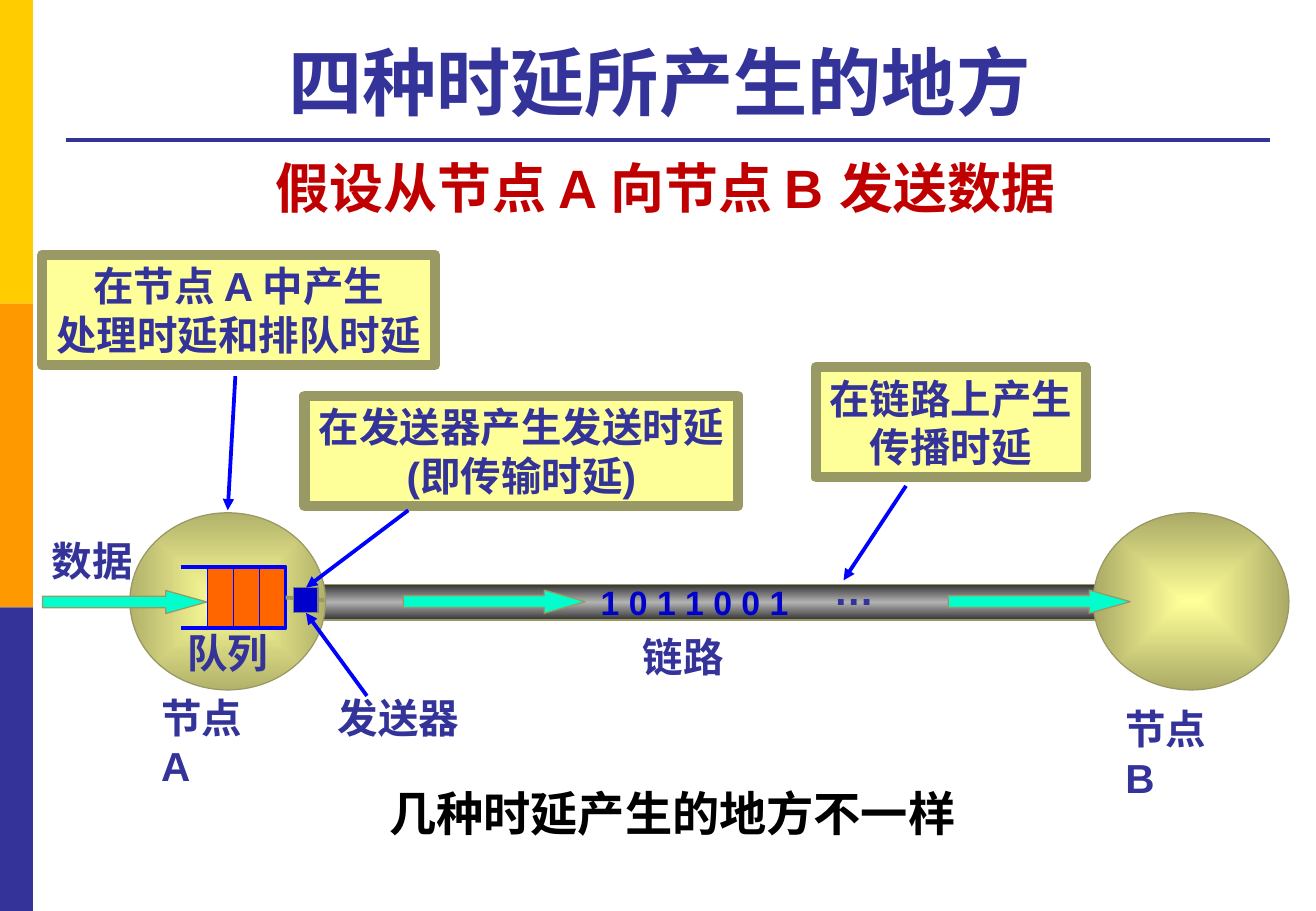
from lxml import etree
from pptx import Presentation
from pptx.dml.color import RGBColor as RGB
from pptx.enum.shapes import MSO_CONNECTOR as Conn, MSO_SHAPE as Kind
from pptx.enum.text import MSO_ANCHOR as Anchor, PP_ALIGN as Align
from pptx.oxml import parse_xml
from pptx.oxml.ns import nsdecls, qn
from pptx.util import Pt

WIDE, HIGH = 780, 540
GOLD = RGB(0xFF, 0xCC, 0x00)
AMBER = RGB(0xFF, 0x99, 0x00)
NAVY = RGB(0x33, 0x33, 0x99)
RED = RGB(0xC0, 0x00, 0x00)
BLACK = RGB(0x00, 0x00, 0x00)
BLUE = RGB(0x00, 0x00, 0xFF)
DEEP = RGB(0x00, 0x00, 0xCC)
CREAM = RGB(0xFF, 0xFF, 0x99)
OLIVE = RGB(0x99, 0x99, 0x66)
SHADE_A = RGB(0xB2, 0xB2, 0x6B)
SHADE_B = RGB(0xAA, 0xAA, 0x66)
ORANGE = RGB(0xFF, 0x66, 0x00)
MINT = RGB(0x00, 0xFF, 0xCC)
GRAY = RGB(0x80, 0x80, 0x80)
SILVER = RGB(0xB2, 0xB2, 0xB2)
DARK = RGB(0x34, 0x34, 0x34)


def pts(*nums):
    return [Pt(n) for n in nums]


def write(shape, text, size=24, color=NAVY, align=Align.CENTER,
          anchor=Anchor.TOP, wrap=False):
    """Fill a shape with bold text, one paragraph per line."""
    frame = shape.text_frame
    frame.word_wrap = wrap
    frame.vertical_anchor = anchor
    for i, line in enumerate(text.split("\n")):
        para = frame.add_paragraph() if i else frame.paragraphs[0]
        para.alignment = align
        run = para.add_run()
        run.text = line
        font = run.font
        font.name, font.size, font.bold = "Arial", Pt(size), True
        font.color.rgb = color


def label(slide, text, box, **form):
    write(slide.shapes.add_textbox(*pts(*box)), text, **form)


def shape(slide, kind, box, fill=None, edge=OLIVE, width=0.75):
    item = slide.shapes.add_shape(kind, *pts(*box))
    item.shadow.inherit = False
    if fill is not None:
        item.fill.solid()
        item.fill.fore_color.rgb = fill
    if edge is None:
        item.line.fill.background()
    else:
        item.line.color.rgb = edge
        item.line.width = Pt(width)
    return item


def blend(item, colors, way):
    """Give a shape a gradient of evenly spaced colours."""
    step = 100000 // (len(colors) - 1)
    stops = "".join(f'<a:gs pos="{i * step}"><a:srgbClr val="{c}"/></a:gs>'
                    for i, c in enumerate(colors))
    grad = parse_xml(f'<a:gradFill {nsdecls("a")} rotWithShape="1">'
                     f'<a:gsLst>{stops}</a:gsLst>{way}</a:gradFill>')
    item._element.spPr.find(qn("a:prstGeom")).addnext(grad)


def line(slide, start, end, color=BLUE, width=2.25, head=False):
    item = slide.shapes.add_connector(Conn.STRAIGHT, *pts(*start, *end))
    item.line.color.rgb = color
    item.line.width = Pt(width)
    if head:
        etree.SubElement(item.line._get_or_add_ln(), qn("a:tailEnd"),
                         type="triangle")
    etree.SubElement(item._element.spPr, qn("a:effectLst"))
    return item


def frame(slide, box):
    """Side bands, title and rule."""
    x, y, w, h = box
    for i, color in enumerate((GOLD, AMBER, NAVY)):
        shape(slide, Kind.RECTANGLE, (x, y + i * h / 3, 19.5, h / 3), color, None)
    line(slide, (x + 39, y + 83), (x + w - 27, y + 83), NAVY)
    label(slide, "四种时延所产生的地方", (x + 34, y + 15, 714, 63),
          size=44, anchor=Anchor.BOTTOM, wrap=True)


def pipe(slide, box):
    blend(shape(slide, Kind.RECTANGLE, box), (DARK, SILVER, DARK),
          '<a:lin ang="5400000" scaled="1"/>')


def node(slide, box, shade):
    blend(shape(slide, Kind.OVAL, box), (CREAM, shade),
          '<a:path path="rect"><a:fillToRect l="50000" t="50000" '
          'r="50000" b="50000"/></a:path>')


def queue(slide, box):
    """Open-ended queue with three cells; returns the cell block."""
    x, y, w, h = box
    cell = w / 4
    right, foot = x + w, y + h
    cells = shape(slide, Kind.RECTANGLE, (x + cell, y, 3 * cell, h), ORANGE, BLUE)
    build = slide.shapes.build_freeform(Pt(x), Pt(y))
    build.add_line_segments([pts(right, y), pts(right, foot), pts(x, foot)],
                            close=False)
    rim = build.convert_to_shape()
    rim.shadow.inherit = False
    rim.fill.background()
    rim.line.color.rgb = BLUE
    rim.line.width = Pt(2.25)
    for i in (1, 2, 3):
        at = x + i * cell
        line(slide, (at, y), (at, foot), width=0.75)
    return cells


def sender(slide, box, cells):
    """Square sender on the wire that leaves the queue."""
    x, y, w, h = box
    wire = line(slide, (x - 5, y + h / 2), (x + w + 3.5, y + h / 2), OLIVE)
    wire.begin_connect(cells, 3)
    return shape(slide, Kind.RECTANGLE, box, DEEP, GRAY)


def flow(slide, box):
    arrow = shape(slide, Kind.RIGHT_ARROW, box, MINT)
    arrow.adjustments[0] = 0.5
    arrow.adjustments[1] = 1.78


def traffic(slide, box):
    """Arrows and bits along the link."""
    x, y, w, h = box
    for dx in (54, 377):
        flow(slide, (x + dx, y + 3.3, 108, 13.7))
    label(slide, "1 0 1 1 0 0 1", (x + 164, y - 5, 127, 32),
          size=20, color=DEEP, align=Align.LEFT)
    label(slide, "…", (x + 302, y - 15, 39, 36), align=Align.LEFT)


def callout(slide, box, text, start, end):
    item = shape(slide, Kind.RECTANGLE, box, CREAM, OLIVE, 6)
    write(item, text, anchor=Anchor.MIDDLE)
    return line(slide, start, end, head=True)


def main():
    deck = Presentation()
    deck.slide_width, deck.slide_height = pts(WIDE, HIGH)
    slide = deck.slides.add_slide(deck.slide_layouts[6])
    link = (185, 346.5, 471, 21)

    frame(slide, (0, 0, WIDE, HIGH))
    pipe(slide, link)
    for x, shade in ((77, SHADE_A), (648, SHADE_B)):
        node(slide, (x, 304, 116, 105), shade)
    cells = queue(slide, (107.3, 336.2, 62, 36))
    post = sender(slide, (174.2, 348.3, 14.4, 15), cells)
    flow(slide, (25.2, 350, 97.4, 13.7))
    traffic(slide, link)

    callout(slide, (25, 151, 233, 65.5), "在节点 A 中产生\n处理时延和排队时延",
            (139.5, 223), (135, 302.5))
    send = callout(slide, (180.5, 234.5, 257, 65.5),
                   "在发送器产生发送时延\n(即传输时延)", (242, 302.5), (181, 350))
    send.end_connect(post, 0)
    callout(slide, (483.5, 217.5, 160, 65.5), "在链路上产生\n传播时延",
            (537, 288), (500, 344))
    mark = line(slide, (217.5, 412.5), (181, 361.5), head=True)
    mark.end_connect(post, 2)

    for text, x, y, w in (("数据", 23.5, 314, 63), ("队列", 104, 369, 63),
                          ("发送器", 193, 407, 87), ("链路", 374, 371, 63)):
        label(slide, text, (x, y, w, 36), align=Align.LEFT)
    for text, x, y in (("节点 A", 88.5, 407), ("节点 B", 660, 414)):
        label(slide, text, (x, y, 72, 65), align=Align.LEFT, wrap=True)
    label(slide, "假设从节点 A 向节点 B 发送数据", (107, 88, 575, 46),
          size=32, color=RED, wrap=True)
    label(slide, "几种时延产生的地方不一样", (220, 461.5, 357, 41),
          size=28, color=BLACK, wrap=True)
    deck.save("out.pptx")


if __name__ == "__main__":
    main()
